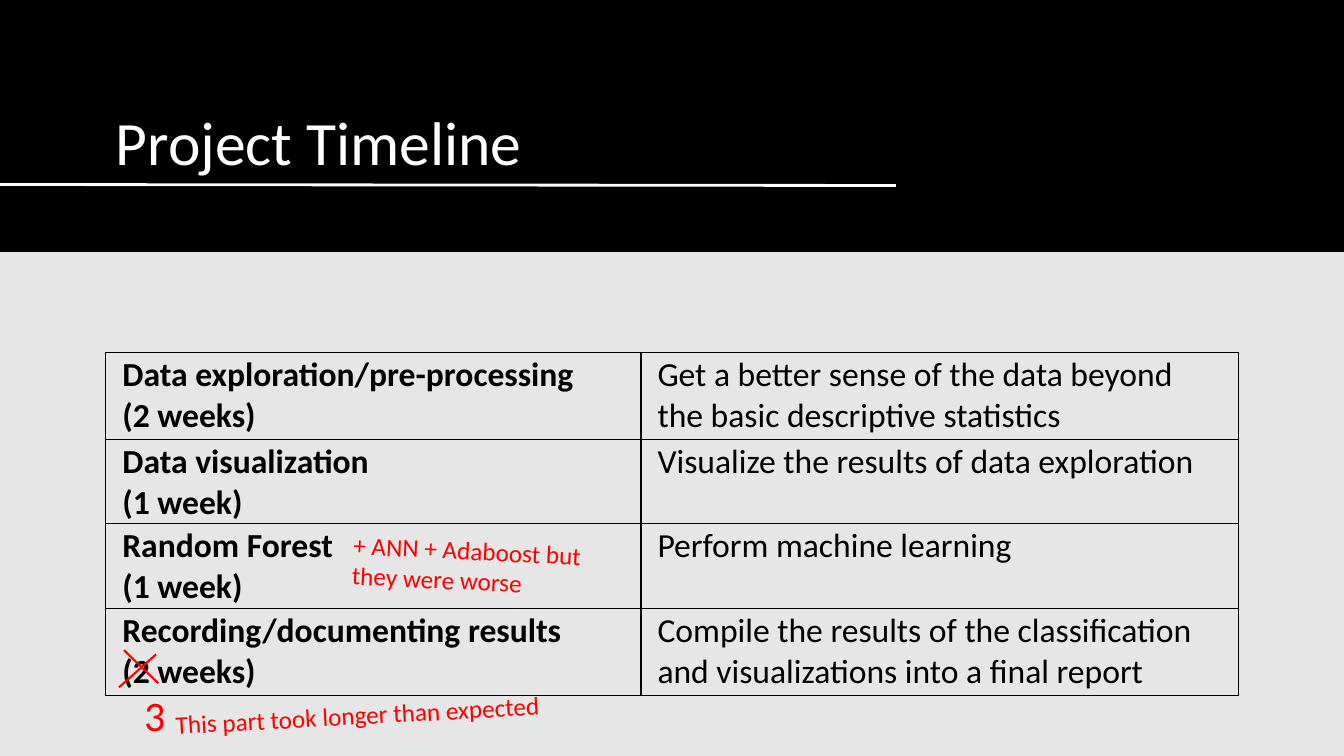
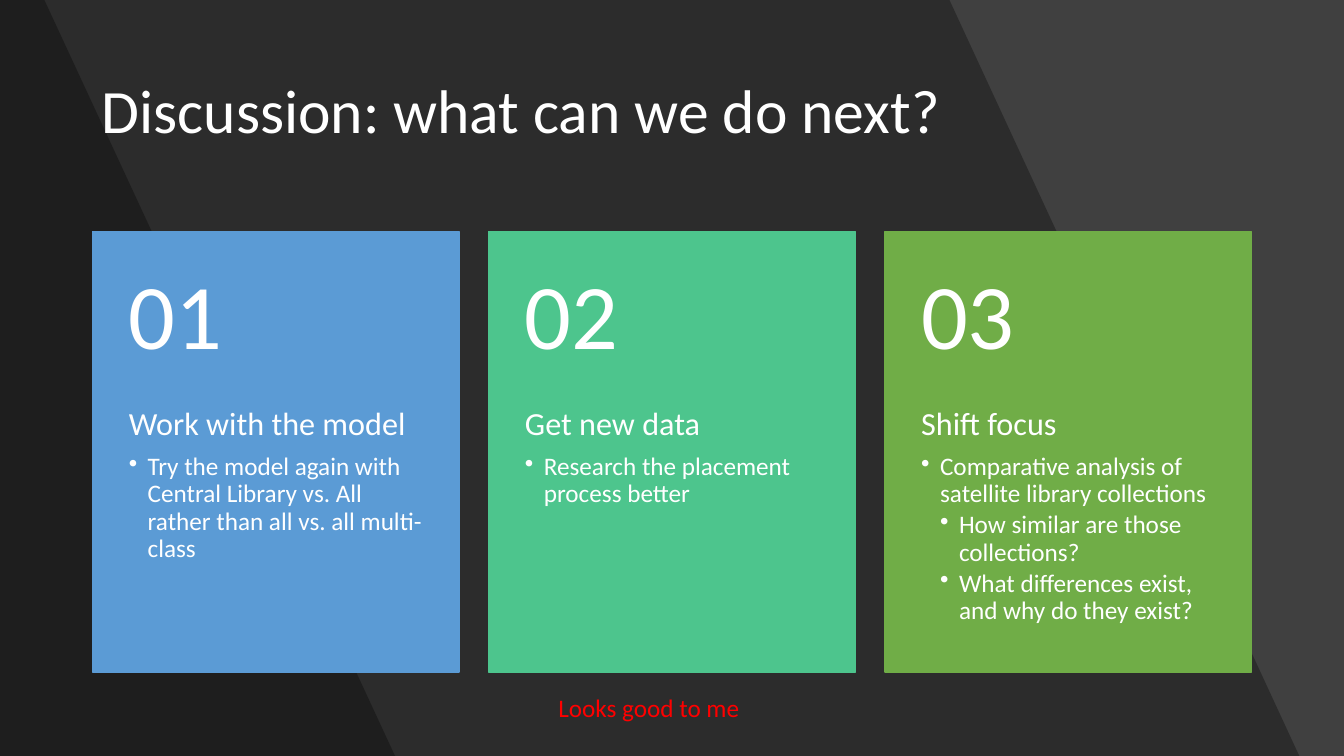
from dataclasses import dataclass

from lxml import etree
from pptx import Presentation
from pptx.dml.color import RGBColor
from pptx.enum.shapes import MSO_CONNECTOR as Connector, MSO_SHAPE as Preset
from pptx.enum.text import MSO_ANCHOR as Anchor, MSO_AUTO_SIZE as AutoSize, PP_ALIGN as Align
from pptx.oxml.ns import qn
from pptx.util import Pt


@dataclass(frozen=True)
class Theme:
    font: str = "Calibri"
    black: str = "000000"
    white: str = "FFFFFF"
    red: str = "FF0000"
    light: str = "E7E6E6"
    dark: str = "404040"
    cards: tuple = ("5B9BD5", "4DC58D", "70AD47")
    title: float = 44
    table: float = 24
    note: float = 18
    correction: float = 30
    number: float = 66
    heading: float = 23
    bullet: float = 18
    line_spacing: float = 0.9


@dataclass(frozen=True)
class Box:
    left: float
    top: float
    width: float
    height: float

    def lengths(self):
        return Pt(self.left), Pt(self.top), Pt(self.width), Pt(self.height)


THEME = Theme()
PAGE = Box(0, 0, 960, 540)

STAGES = [
    ("Data exploration/pre-processing", "(2 weeks)",
     "Get a better sense of the data beyond the basic descriptive statistics"),
    ("Data visualization", "(1 week)", "Visualize the results of data exploration"),
    ("Random Forest", "(1 week)", "Perform machine learning"),
    ("Recording/documenting results", "(2 weeks)",
     "Compile the results of the classification and visualizations into a final report"),
]

IDEAS = [
    ("Work with the model",
     [(1, "Try the model again with Central Library vs. All rather than all vs. all multi-class")]),
    ("Get new data", [(1, "Research the placement process better")]),
    ("Shift focus",
     [(1, "Comparative analysis of satellite library collections"),
      (2, "How similar are those collections?"),
      (2, "What differences exist, and why do they exist?")]),
]


def rgb(color):
    return RGBColor.from_string(color)


def style_paragraph(paragraph, size, color, bold=False):
    paragraph.alignment = Align.LEFT
    for run in paragraph.runs:
        run.font.name = THEME.font
        run.font.size = Pt(size)
        run.font.bold = bold
        run.font.color.rgb = rgb(color)


def write(text_frame, text, size, color, bold=False):
    text_frame.text = text
    for paragraph in text_frame.paragraphs:
        style_paragraph(paragraph, size, color, bold)


def set_margins(target, left, top, right, bottom):
    target.margin_left, target.margin_top = Pt(left), Pt(top)
    target.margin_right, target.margin_bottom = Pt(right), Pt(bottom)


def set_background(slide, color):
    fill = slide.background.fill
    fill.solid()
    fill.fore_color.rgb = rgb(color)


def fill_shape(shape, color, opacity=None):
    shape.shadow.inherit = False
    shape.fill.solid()
    shape.fill.fore_color.rgb = rgb(color)
    shape.line.fill.background()
    if opacity is not None:
        color_element = shape.element.spPr.find(qn("a:solidFill"))[0]
        etree.SubElement(color_element, qn("a:alpha"), val=str(opacity * 1000))


def add_rectangle(shapes, box, color):
    shape = shapes.add_shape(Preset.RECTANGLE, *box.lengths())
    fill_shape(shape, color)
    return shape


def add_line(slide, start, end, color, width):
    points = [Pt(value) for value in (*start, *end)]
    line = slide.shapes.add_connector(Connector.STRAIGHT, *points)
    line.line.color.rgb = rgb(color)
    line.line.width = Pt(width)
    etree.SubElement(line.element.spPr, qn("a:effectLst"))


def add_title(slide, text, box, anchor):
    title = slide.shapes.title
    title.left, title.top, title.width, title.height = box.lengths()
    title.element.getparent().append(title.element)
    text_frame = title.text_frame
    text_frame.auto_size = AutoSize.NONE
    text_frame.word_wrap = True
    text_frame.vertical_anchor = anchor
    write(text_frame, text, THEME.title, THEME.white)
    text_frame.paragraphs[0].line_spacing = THEME.line_spacing


def add_note(slide, text, box, size=THEME.note, rotation=0):
    note = slide.shapes.add_textbox(*box.lengths())
    note.rotation = rotation
    note.text_frame.word_wrap = False
    note.text_frame.auto_size = AutoSize.SHAPE_TO_FIT_TEXT
    write(note.text_frame, text, size, THEME.red)


def outline_cell(cell, color, width):
    cell.fill.background()
    properties = cell._tc.get_or_add_tcPr()
    for index, side in enumerate(("lnL", "lnR", "lnT", "lnB")):
        border = etree.Element(qn(f"a:{side}"), w=str(Pt(width)))
        solid = etree.SubElement(border, qn("a:solidFill"))
        etree.SubElement(solid, qn("a:srgbClr"), val=color)
        properties.insert(index, border)


def add_stage_table(slide, box, column_widths, row_heights):
    frame = slide.shapes.add_table(len(STAGES), len(column_widths), *box.lengths())
    table = frame.table
    table.first_row = False
    table.horz_banding = False
    for column, width in zip(table.columns, column_widths):
        column.width = Pt(width)
    for row, height, (stage, duration, goal) in zip(table.rows, row_heights, STAGES):
        row.height = Pt(height)
        texts = (f"{stage}\n{duration}", goal)
        for cell, text, bold in zip(row.cells, texts, (True, False)):
            set_margins(cell, 11.8, 1.4, 11.8, 0)
            write(cell.text_frame, text, THEME.table, THEME.black, bold)
            outline_cell(cell, THEME.black, 1)


def add_strike(slide, box):
    right, bottom = box.left + box.width, box.top + box.height
    add_line(slide, (box.left, bottom), (right - 1.5, box.top + 3), THEME.red, 1.5)
    add_line(slide, (box.left + 3.5, box.top), (right, bottom - 3), THEME.red, 1.5)


def build_timeline(slide):
    set_background(slide, THEME.light)
    add_rectangle(slide.shapes, Box(0, 0, PAGE.width, 180), THEME.black)
    add_title(slide, "Project Timeline", Box(75.6, 33.8, 564.5, 97.2), Anchor.BOTTOM)
    add_line(slide, (0, 131.8), (640, 132.5), THEME.white, 2)
    add_stage_table(slide, Box(75.6, 251.8, 809.3, 244.8), (382.3, 427), (62, 60.4, 60.4, 62))
    add_note(slide, "This part took longer than expected", Box(118.1, 496.1, 277.9, 29), rotation=356.9)
    add_note(slide, "+ ANN + Adaboost but\nthey were worse", Box(244.8, 378.7, 179.3, 51), rotation=2.9)
    add_strike(slide, Box(85, 464.4, 28, 26.6))
    add_note(slide, "3", Box(95.8, 488.9, 30.2, 43.9), THEME.correction)


def add_slanted_panel(slide, top_width, bottom_width):
    builder = slide.shapes.build_freeform(0, 0)
    corners = ((top_width, 0), (bottom_width, PAGE.height), (0, PAGE.height))
    builder.add_line_segments([(Pt(x), Pt(y)) for x, y in corners], close=True)
    fill_shape(builder.convert_to_shape(), THEME.black, opacity=30)


def add_bullet(text_frame, level, text):
    paragraph = text_frame.add_paragraph()
    paragraph.text = text
    paragraph.level = level
    paragraph.line_spacing = THEME.line_spacing
    paragraph.space_after = Pt(2.7)
    style_paragraph(paragraph, THEME.bullet, THEME.white)
    properties = paragraph._p.get_or_add_pPr()
    indent = Pt(13.5)
    properties.set("marL", str(level * indent))
    properties.set("indent", str(-indent))
    etree.SubElement(properties, qn("a:buChar"), char="•")


def add_card_text(shapes, box, text, size, margins, anchor):
    text_frame = shapes.add_textbox(*box.lengths()).text_frame
    text_frame.word_wrap = True
    text_frame.vertical_anchor = anchor
    set_margins(text_frame, *margins)
    write(text_frame, text, size, THEME.white)
    text_frame.paragraphs[0].line_spacing = THEME.line_spacing
    return text_frame


def add_card(shapes, box, number, heading, bullets, color):
    card = add_rectangle(shapes, box, color)
    card.line.color.rgb = rgb(color)
    card.line.width = Pt(1)
    number_height = box.height * 0.4
    body = Box(box.left, box.top + number_height, box.width, box.height - number_height)
    text_frame = add_card_text(shapes, body, heading, THEME.heading, (26, 0, 26, 26), Anchor.TOP)
    text_frame.paragraphs[0].space_after = Pt(8)
    for level, text in bullets:
        add_bullet(text_frame, level, text)
    head = Box(box.left, box.top, box.width, number_height)
    add_card_text(shapes, head, f"{number:02d}", THEME.number, (26, 13, 26, 13), Anchor.MIDDLE)


def add_cards(slide, box, gap):
    shapes = slide.shapes.add_group_shape().shapes
    width = (box.width - gap * (len(IDEAS) - 1)) / len(IDEAS)
    for index, ((heading, bullets), color) in enumerate(zip(IDEAS, THEME.cards)):
        card_box = Box(box.left + index * (width + gap), box.top, width, box.height)
        add_card(shapes, card_box, index + 1, heading, bullets, color)


def build_discussion(slide):
    set_background(slide, THEME.dark)
    add_slanted_panel(slide, 678.2, 928.1)
    add_slanted_panel(slide, 31.7, 282.2)
    add_title(slide, "Discussion: what can we do next?", Box(65.5, 28.8, 828.7, 104.4), Anchor.MIDDLE)
    add_cards(slide, Box(66, 165.6, 828, 314.6), 21)
    add_note(slide, "Looks good to me", Box(391.7, 491, 145.4, 29))


def main():
    presentation = Presentation()
    presentation.slide_width, presentation.slide_height = Pt(PAGE.width), Pt(PAGE.height)
    title_only = presentation.slide_layouts[5]
    for build in (build_timeline, build_discussion):
        build(presentation.slides.add_slide(title_only))
    presentation.save("out.pptx")


if __name__ == "__main__":
    main()
